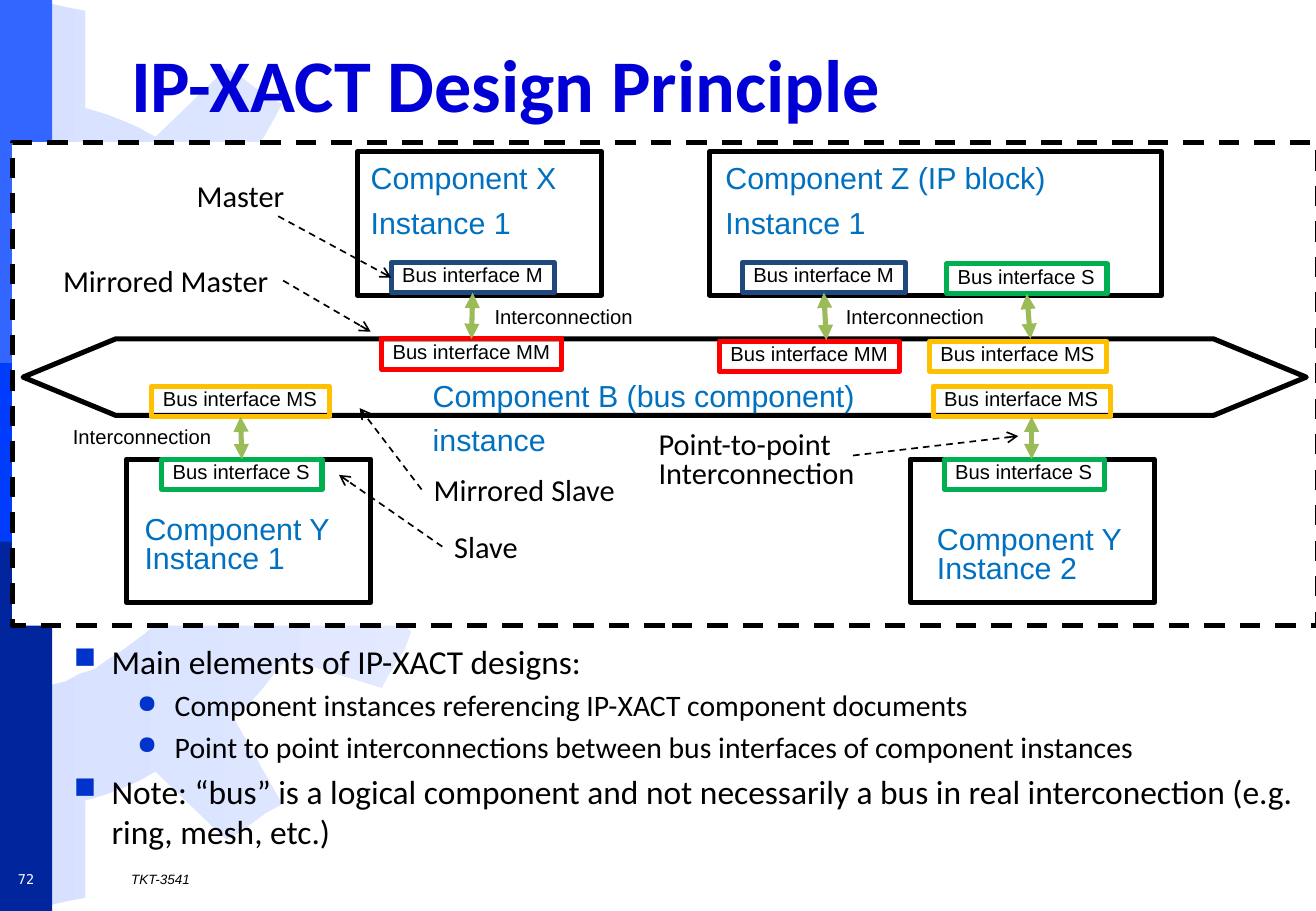
from dataclasses import dataclass

from lxml import etree
from pptx import Presentation
from pptx.dml.color import RGBColor
from pptx.enum.dml import MSO_LINE
from pptx.enum.shapes import MSO_CONNECTOR, MSO_SHAPE
from pptx.enum.text import MSO_ANCHOR, PP_ALIGN
from pptx.oxml.ns import qn
from pptx.util import Inches, Pt

RECTANGLE = MSO_SHAPE.RECTANGLE
BUS_ARROW = MSO_SHAPE.LEFT_RIGHT_ARROW
STRAIGHT = MSO_CONNECTOR.STRAIGHT
DASH = MSO_LINE.DASH
TOP, MIDDLE = MSO_ANCHOR.TOP, MSO_ANCHOR.MIDDLE
LEFT, CENTER = PP_ALIGN.LEFT, PP_ALIGN.CENTER
TOP_SIDE, LEFT_SIDE, BOTTOM_SIDE, RIGHT_SIDE = range(4)
COLUMNS, ROWS = 108.3, 75


@dataclass(frozen=True)
class Lettering:
    size: float
    font: str
    color: str
    bold: bool = False
    italic: bool = False
    inset: tuple = (1, 0.5)
    spacing: float = 1.0
    before: float = 0
    anchor: int = TOP
    align: int = LEFT


class Theme:
    black, white, link = "000000", "FFFFFF", "9BBB59"
    bullet = "0033CC"
    emblem = ("D7E1FF", "E3EAFF")
    bands = ("3366FF", "003CFC", "00259C")
    interfaces = {"M": "1F497D", "S": "00B050", "MM": "FF0000", "MS": "FFC000"}
    thick, thin = 3, 1
    tight = (0.9, 0.4)
    title = Lettering(44, "Calibri", "0000D6", bold=True, anchor=MIDDLE)
    point = Lettering(19.8, "Calibri", black, before=4)
    subpoint = Lettering(17.6, "Calibri", black, before=3.5)
    callout = Lettering(18, "Calibri", black)
    dense_callout = Lettering(18, "Calibri", black, inset=tight, spacing=0.8)
    component = Lettering(18, "Arial", "0070C0", inset=tight, spacing=0.8, before=9)
    small = Lettering(12, "Arial", black, inset=tight, spacing=0.8)
    number = Lettering(8, "DejaVu Sans Mono", white, anchor=MIDDLE, align=CENTER)
    footer = Lettering(8, "Arial", black, italic=True, anchor=MIDDLE)


class Canvas:
    def __init__(self, deck, theme):
        self.theme = theme
        self.column = deck.slide_width / COLUMNS
        self.row = deck.slide_height / ROWS
        self.shapes = deck.slides.add_slide(deck.slide_layouts[6]).shapes

    def place(self, column, row):
        return round(column * self.column), round(row * self.row)

    def emblem(self, outline):
        (left, top), *rest = outline
        builder = self.shapes.build_freeform(left, top, scale=Inches(0.01))
        builder.add_line_segments(rest)
        shape = builder.convert_to_shape()
        shape.shadow.inherit = False
        shape.line.fill.background()
        shape.fill.gradient()
        shape.fill.gradient_angle = 0
        for stop, color in zip(shape.fill.gradient_stops, self.theme.emblem):
            stop.color.rgb = RGBColor.from_string(color)

    def block(self, area, fill=None, line=None, dash=None, kind=RECTANGLE):
        shape = self.shapes.add_shape(kind, *self.place(*area[:2]), *self.place(*area[2:]))
        shape.shadow.inherit = False
        if fill:
            shape.fill.solid()
            shape.fill.fore_color.rgb = RGBColor.from_string(fill)
        else:
            shape.fill.background()
        if line:
            shape.line.color.rgb = RGBColor.from_string(line)
            shape.line.width = Pt(self.theme.thick)
            shape.line.dash_style = dash
        else:
            shape.line.fill.background()
        return shape

    def put_text(self, box, text, style, wrap=False):
        frame = box.text_frame
        frame.text = text
        frame.word_wrap = wrap
        frame.vertical_anchor = style.anchor
        frame.margin_left, frame.margin_top = self.place(*style.inset)
        frame.margin_right, frame.margin_bottom = self.place(*style.inset)
        for index, para in enumerate(frame.paragraphs):
            self.letter(para, style, index == 0)
        return box

    def letter(self, para, style, first):
        para.alignment = style.align
        para.line_spacing = style.spacing
        para.space_before = Pt(0 if first else style.before)
        for span in para.runs:
            span.font.size = Pt(style.size)
            span.font.name = style.font
            span.font.bold, span.font.italic = style.bold, style.italic
            span.font.color.rgb = RGBColor.from_string(style.color)

    def label(self, area, text, style, wrap=False):
        box = self.shapes.add_textbox(*self.place(*area[:2]), *self.place(*area[2:]))
        return self.put_text(box, text, style, wrap)

    def bullets(self, area, points):
        theme = self.theme
        box = self.label(area, "\n".join(text for _, text in points), theme.point, wrap=True)
        looks = ((theme.point, "■", 90000, 3.1), (theme.subpoint, "●", 85000, 8.3))
        for index, (para, (level, _)) in enumerate(zip(box.text_frame.paragraphs, points)):
            style, mark, size, margin = looks[level]
            para.level = level
            settings = para._p.get_or_add_pPr()
            settings.set("marL", str(self.place(margin, 0)[0]))
            settings.set("indent", str(self.place(-3.1, 0)[0]))
            color = etree.SubElement(settings, qn("a:buClr"))
            etree.SubElement(color, qn("a:srgbClr"), val=theme.bullet)
            etree.SubElement(settings, qn("a:buSzPct"), val=str(size))
            etree.SubElement(settings, qn("a:buChar"), char=mark)
            self.letter(para, style, index == 0)

    def component(self, area, label_area, text):
        self.block(area, line=self.theme.black)
        self.label(label_area, text, self.theme.component, wrap=True)

    def interface(self, column, row, role):
        width = {"M": 13.4, "S": 13.2, "MM": 14.8, "MS": 14.6}[role]
        box = self.block((column, row, width, 2.5), line=self.theme.interfaces[role])
        return self.put_text(box, f"Bus interface {role}", self.theme.small)

    def connect(self, start, end, color, width, dash=None, **arrowheads):
        points = [(0, 0) if hasattr(spot[0], "shape_id") else spot for spot in (start, end)]
        line = self.shapes.add_connector(
            STRAIGHT, *self.place(*points[0]), *self.place(*points[1]))
        for spot, join in ((start, line.begin_connect), (end, line.end_connect)):
            if hasattr(spot[0], "shape_id"):
                join(*spot)
        line.line.color.rgb = RGBColor.from_string(color)
        line.line.width = Pt(width)
        line.line.dash_style = dash
        for name, kind in arrowheads.items():
            etree.SubElement(line.line._get_or_add_ln(), qn(f"a:{name}"), type=kind)
        etree.SubElement(line._element.spPr, qn("a:effectLst"))

    def interconnect(self, start, end):
        self.connect(start, end, self.theme.link, self.theme.thick,
                     headEnd="triangle", tailEnd="triangle")

    def pointer(self, start, end):
        self.connect(start, end, self.theme.black, self.theme.thin, DASH, tailEnd="arrow")


def gear_outline():
    lower = [
        (0, 448), (173, 449), (167, 461), (160, 472), (155, 484), (147, 495), (139, 504),
        (130, 512), (119, 522), (111, 528), (100, 536), (89, 543), (78, 551), (65, 555),
        (54, 561), (42, 564), (28, 568), (14, 570), (14, 749), (29, 746), (42, 745),
        (55, 742), (70, 739), (70, 659), (87, 654), (100, 649), (114, 643), (128, 635),
        (186, 691), (199, 684), (208, 677), (219, 669), (232, 662), (192, 591), (206, 578),
        (215, 568), (225, 555), (236, 542), (314, 566), (320, 555), (327, 543), (333, 534),
        (338, 520), (273, 472), (275, 457), (281, 442), (283, 427), (286, 412), (367, 400),
        (370, 385), (370, 373)]
    return lower + [(x, 748 - y) for x, y in reversed(lower)]


def main():
    deck = Presentation()
    deck.slide_width, deck.slide_height = Inches(10.83), Inches(7.5)
    theme = Theme()
    page = Canvas(deck, theme)

    page.emblem(gear_outline())
    for top, height, color in zip((0, 29.9, 44.6), (30.5, 14.9, 30.4), theme.bands):
        page.block((0, top, 4.3, height), fill=color)
    page.block((1, 11.7, 107.4, 39.8), theme.white, theme.black, DASH)
    page.label((9.8, 2.1, 93.9, 9.4), "IP-XACT Design Principle", theme.title, wrap=True)
    page.bullets((5.1, 52.3, 103.3, 16.8), [
        (0, "Main elements of IP-XACT designs:"),
        (1, "Component instances referencing IP-XACT component documents"),
        (1, "Point to point interconnections between bus interfaces of component instances"),
        (0, "Note: “bus” is a logical component and not necessarily a bus in real "
            "interconection (e.g. ring, mesh, etc.)")])

    for area, label_area, text in (
            ((10.4, 37.8, 20.1, 11.8), (11, 42.2, 18.6, 5.7), "Component Y Instance 1"),
            ((74.9, 37.8, 20.1, 11.8), (76.2, 43, 18.6, 5.7), "Component Y Instance 2"),
            ((29.4, 12.5, 20.1, 11.8), (29.6, 13.3, 19.5, 7.3), "Component X\nInstance 1"),
            ((58.4, 12.5, 37.2, 11.8), (58.8, 13.3, 36.1, 7.3),
             "Component Z (IP block)\nInstance 1")):
        page.component(area, label_area, text)
    bus = page.block((1.9, 27.9, 105.6, 6.3), line=theme.black, kind=BUS_ARROW)
    bus.adjustments[0], bus.adjustments[1] = 1, 1.21
    page.label((34.7, 31.2, 36.8, 7.2), "Component B (bus component)\ninstance",
               theme.component)

    master_x = page.interface(32.2, 21.6, "M")
    mirror_x = page.interface(31.4, 27.9, "MM")
    master_z = page.interface(61.1, 21.6, "M")
    page.interface(59.2, 28.1, "MM")
    slave_z = page.interface(77.9, 21.7, "S")
    page.interface(76.5, 28.1, "MS")
    mirror_y = page.interface(12.5, 31.8, "MS")
    slave_y = page.interface(13.3, 37.8, "S")
    page.interface(76.8, 31.8, "MS")
    page.interface(77.7, 37.8, "S")

    for start, end in (
            ((master_x, BOTTOM_SIDE), (mirror_x, TOP_SIDE)),
            ((mirror_y, BOTTOM_SIDE), (slave_y, TOP_SIDE)),
            ((master_z, BOTTOM_SIDE), (68, 28)),
            ((slave_z, BOTTOM_SIDE), (84.8, 27.9)),
            ((84.9, 34.3), (84.9, 37.8))):
        page.interconnect(start, end)
    for column, row in ((5.1, 34.9), (39.8, 25), (68.7, 25)):
        page.label((column, row, 13.2, 2.5), "Interconnection", theme.small)

    page.label((15.2, 14.1, 9.3, 4), "Master", theme.callout)
    mirrored_master = page.label((4.2, 21.1, 19.1, 4), "Mirrored Master", theme.callout)
    mirrored_slave = page.label((34.7, 38.3, 17.1, 4), "Mirrored Slave", theme.callout)
    slave = page.label((36.4, 43, 7.3, 4), "Slave", theme.callout)
    page.label((53.3, 35.2, 21.2, 5.9), "Point-to-point Interconnection",
               theme.dense_callout, wrap=True)
    for start, end in (
            ((22.9, 17.8), (master_x, LEFT_SIDE)),
            ((mirrored_master, RIGHT_SIDE), (30.5, 27.3)),
            ((mirrored_slave, LEFT_SIDE), (29.6, 33.6)),
            ((slave, LEFT_SIDE), (27.9, 39.1)),
            ((70.2, 37.5), (83.8, 35.9))):
        page.pointer(start, end)

    page.label((0, 71.1, 4.3, 2.6), "72", theme.number)
    page.label((9.8, 71.1, 93.9, 2.6), "TKT-3541", theme.footer)
    deck.save("out.pptx")


if __name__ == "__main__":
    main()
